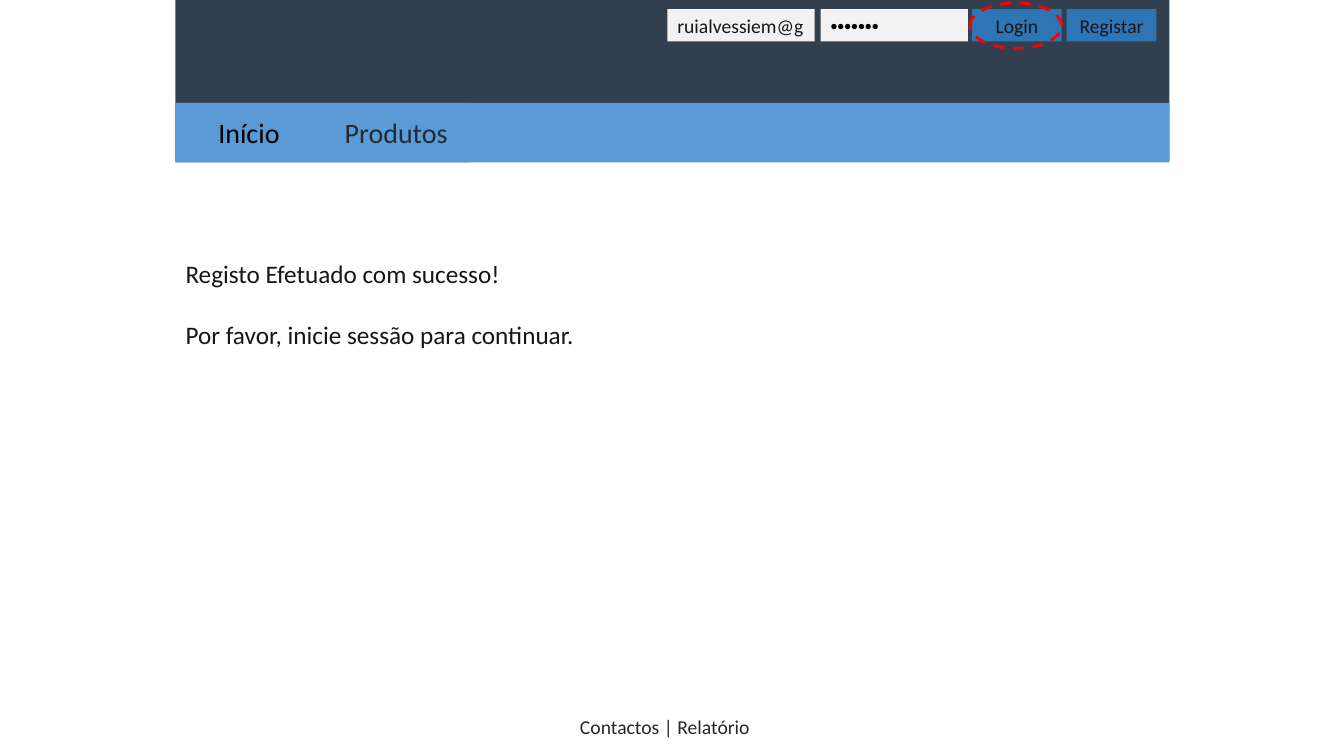
from dataclasses import dataclass

from lxml import etree
from pptx import Presentation
from pptx.dml.color import RGBColor
from pptx.enum import dml, shapes, text
from pptx.oxml import ns
from pptx.util import Inches, Pt


@dataclass(frozen=True)
class Theme:
    header: str = "323F4F"
    menu: str = "5B9BD5"
    field: str = "F2F2F2"
    button: str = "2E75B5"
    highlight: str = "FF0000"
    ink: str = "171616"
    black: str = "000000"
    menu_ink: str = "222A35"
    footer_ink: str = "262626"
    font: str = "Calibri"
    symbol_font: str = "Arial"
    small: int = 14
    body: int = 18
    large: int = 20


theme = Theme()
LEFT, CENTER = text.PP_ALIGN.LEFT, text.PP_ALIGN.CENTER


def write(paragraph, words, size, color, align=LEFT, font=theme.font):
    paragraph.alignment = align
    run = paragraph.add_run()
    run.text = words
    run.font.size = Pt(size)
    run.font.name = font
    run.font.color.rgb = RGBColor.from_string(color)


def add_box(left, top, width, height, fill):
    """Add a flat rectangle without outline and return its first paragraph."""
    shape = slide.shapes.add_shape(
        shapes.MSO_SHAPE.RECTANGLE,
        Inches(left), Inches(top), Inches(width), Inches(height))
    shape.shadow.inherit = False
    shape.fill.solid()
    shape.fill.fore_color.rgb = RGBColor.from_string(fill)
    shape.line.fill.background()
    shape.text_frame.vertical_anchor = text.MSO_ANCHOR.MIDDLE
    return shape.text_frame.paragraphs[0]


presentation = Presentation()
presentation.slide_width = Inches(13.33)
presentation.slide_height = Inches(7.5)
slide = presentation.slides.add_slide(presentation.slide_layouts[1])
title = slide.shapes.title
title.element.getparent().remove(title.element)

# Page header and menu bar
page_left, page_width = 1.74, 9.86
menu_top, menu_height = 1.02, 0.59
add_box(page_left, 0, page_width, 1.6, theme.header)
add_box(page_left, menu_top, page_width, menu_height, theme.menu)

# Footer
footer = slide.shapes.add_textbox(
    Inches(5.36), Inches(7.04), Inches(2.47), Inches(0.32))
footer.text_frame.word_wrap = True
write(footer.text_frame.paragraphs[0], "Contactos | Relatório",
      theme.small, theme.footer_ink, CENTER)

# Message
message = slide.placeholders[1]
message.left, message.top = Inches(page_left), Inches(2.44)
message.width, message.height = Inches(5.54), Inches(1.15)
frame = message.text_frame
frame.auto_size = text.MSO_AUTO_SIZE.NONE
frame.vertical_anchor = text.MSO_ANCHOR.MIDDLE
lines = ["Registo Efetuado com sucesso!",
         "Por favor, inicie sessão para continuar."]
for index, line in enumerate(lines):
    paragraph = frame.add_paragraph() if index else frame.paragraphs[0]
    paragraph.space_before = Pt(22 * index)
    write(paragraph, line, theme.body, theme.ink)
    properties = paragraph._p.get_or_add_pPr()
    properties.set("marL", "0")
    properties.set("indent", "0")
    etree.SubElement(properties, ns.qn("a:buNone"))

# Login fields and buttons
login_row = [
    (6.62, 1.46, theme.field, "ruialvessiem@g", theme.ink, LEFT, theme.font),
    (8.14, 1.46, theme.field, "•••••••", theme.black, LEFT, theme.symbol_font),
    (9.64, 0.89, theme.button, "Login", theme.ink, CENTER, theme.font),
    (10.58, 0.89, theme.button, "Registar", theme.ink, CENTER, theme.font),
]
for left, width, fill, words, color, align, font in login_row:
    paragraph = add_box(left, 0.09, width, 0.32, fill)
    write(paragraph, words, theme.small, color, align, font)

# Dashed ring around the login button
ring = slide.shapes.add_shape(
    shapes.MSO_SHAPE.OVAL, Inches(9.62), Inches(0.03), Inches(0.91), Inches(0.45))
ring.shadow.inherit = False
ring.fill.background()
ring.line.color.rgb = RGBColor.from_string(theme.highlight)
ring.line.width = Pt(2)
ring.line.dash_style = dml.MSO_LINE.DASH

# Menu items
item_width = 1.46
menu_items = [("Início", theme.black), ("Produtos", theme.menu_ink)]
for index, (words, color) in enumerate(menu_items):
    paragraph = add_box(page_left + index * item_width, menu_top,
                        item_width, menu_height, theme.menu)
    write(paragraph, words, theme.large, color, CENTER)

presentation.save("out.pptx")
